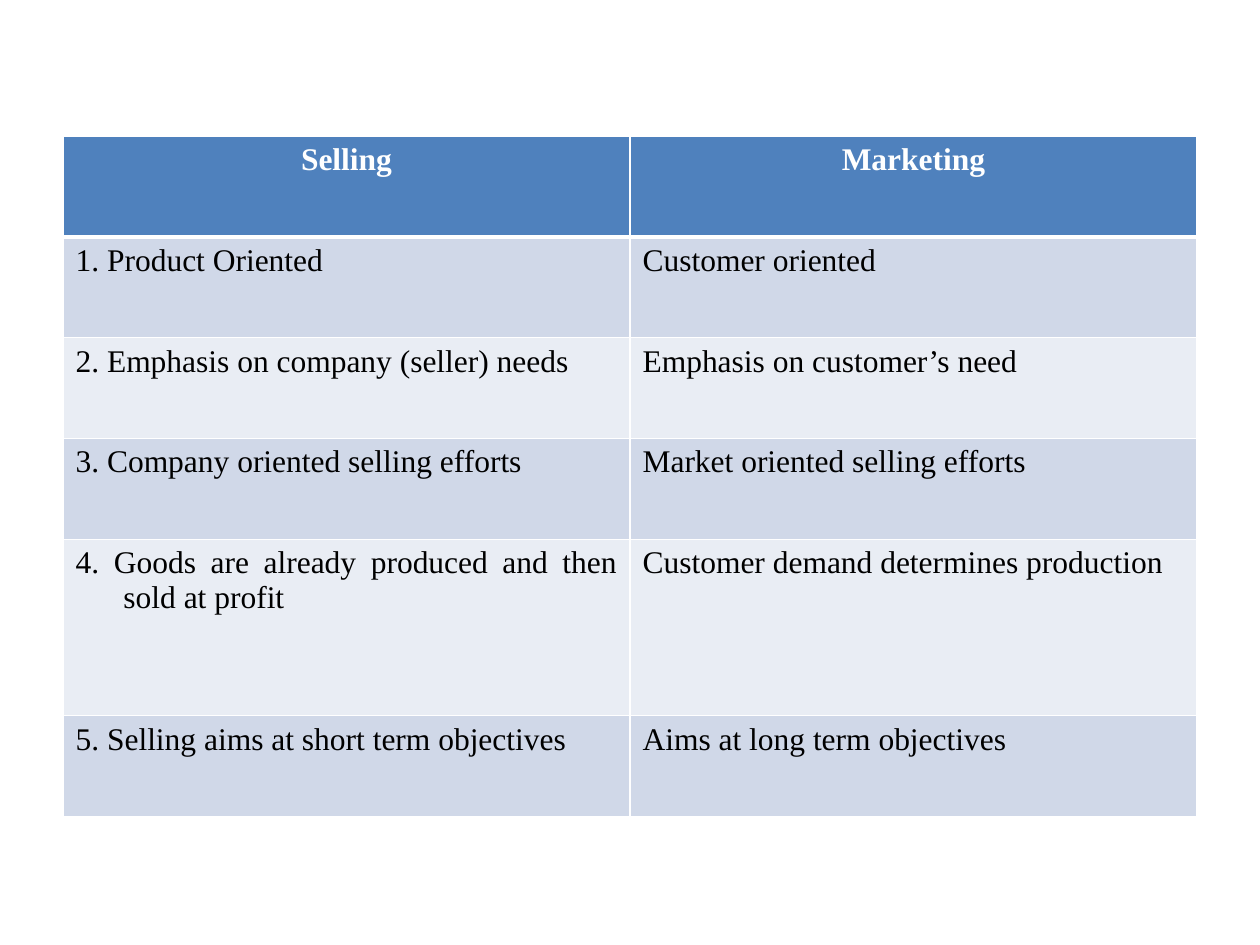
from dataclasses import dataclass

from lxml import etree
from pptx import Presentation
from pptx.dml.color import RGBColor
from pptx.enum.text import PP_ALIGN
from pptx.oxml.ns import qn
from pptx.util import Inches, Pt

CENTER = PP_ALIGN.CENTER
JUSTIFY = PP_ALIGN.JUSTIFY
BLANK = 6


@dataclass(frozen=True)
class Theme:
    font: str = "Times New Roman"
    size: int = 18
    head: str = "4F81BD"
    bands: tuple = ("D0D8E8", "E9EDF4")
    light: str = "FFFFFF"
    dark: str = "000000"
    thin: int = 1
    thick: int = 3


THEME = Theme()

ROWS = [
    ("Selling", "Marketing"),
    ("1. Product Oriented", "Customer oriented"),
    ("2. Emphasis on company (seller) needs", "Emphasis on customer’s need"),
    ("3. Company oriented selling efforts", "Market oriented selling efforts"),
    ("4. Goods are already produced and then sold at profit",
     "Customer demand determines production"),
    ("5. Selling aims at short term objectives", "Aims at long term objectives"),
]
HEIGHTS = [0.8, 0.8, 0.8, 0.8, 1.4, 0.8]
WIDTHS = [4.5, 4.5]
HANG = 0.38


def set_edge(cell, side, width):
    """Draw one border; call before the cell's fill is set."""
    props = cell._tc.get_or_add_tcPr()
    line = etree.SubElement(props, qn(f"a:ln{side}"), w=str(Pt(width)))
    fill = etree.SubElement(line, qn("a:solidFill"))
    etree.SubElement(fill, qn("a:srgbClr"), val=THEME.light)


def set_cell(cell, text, row, col):
    head = row == 0

    # Borders, with a thick rule under the heading
    for side in "LRTB":
        rule = (row, side) in ((0, "B"), (1, "T"))
        set_edge(cell, side, THEME.thick if rule else THEME.thin)

    # Banded fill
    color = THEME.head if head else THEME.bands[(row - 1) % 2]
    cell.fill.solid()
    cell.fill.fore_color.rgb = RGBColor.from_string(color)

    # Text, with a hanging indent for numbered points
    cell.text_frame.text = text
    para = cell.text_frame.paragraphs[0]
    para.alignment = CENTER if head else JUSTIFY
    if not head and col == 0:
        props = para._p.get_or_add_pPr()
        props.set("marL", str(Inches(HANG)))
        props.set("indent", str(Inches(-HANG)))
    font = para.runs[0].font
    font.name = THEME.font
    font.size = Pt(THEME.size)
    font.bold = head
    font.color.rgb = RGBColor.from_string(THEME.light if head else THEME.dark)


def add_grid(slide):
    frame = slide.shapes.add_table(
        len(ROWS), len(WIDTHS), Inches(0.5), Inches(1.08),
        Inches(sum(WIDTHS)), Inches(sum(HEIGHTS)))
    table = frame.table
    for column, width in zip(table.columns, WIDTHS):
        column.width = Inches(width)
    for line, height in zip(table.rows, HEIGHTS):
        line.height = Inches(height)
    for row, texts in enumerate(ROWS):
        for col, text in enumerate(texts):
            set_cell(table.cell(row, col), text, row, col)


def main():
    deck = Presentation()
    deck.slide_width, deck.slide_height = Inches(10), Inches(7.5)
    slide = deck.slides.add_slide(deck.slide_layouts[BLANK])

    # Selling and marketing compared
    add_grid(slide)
    deck.save("out.pptx")


if __name__ == "__main__":
    main()
